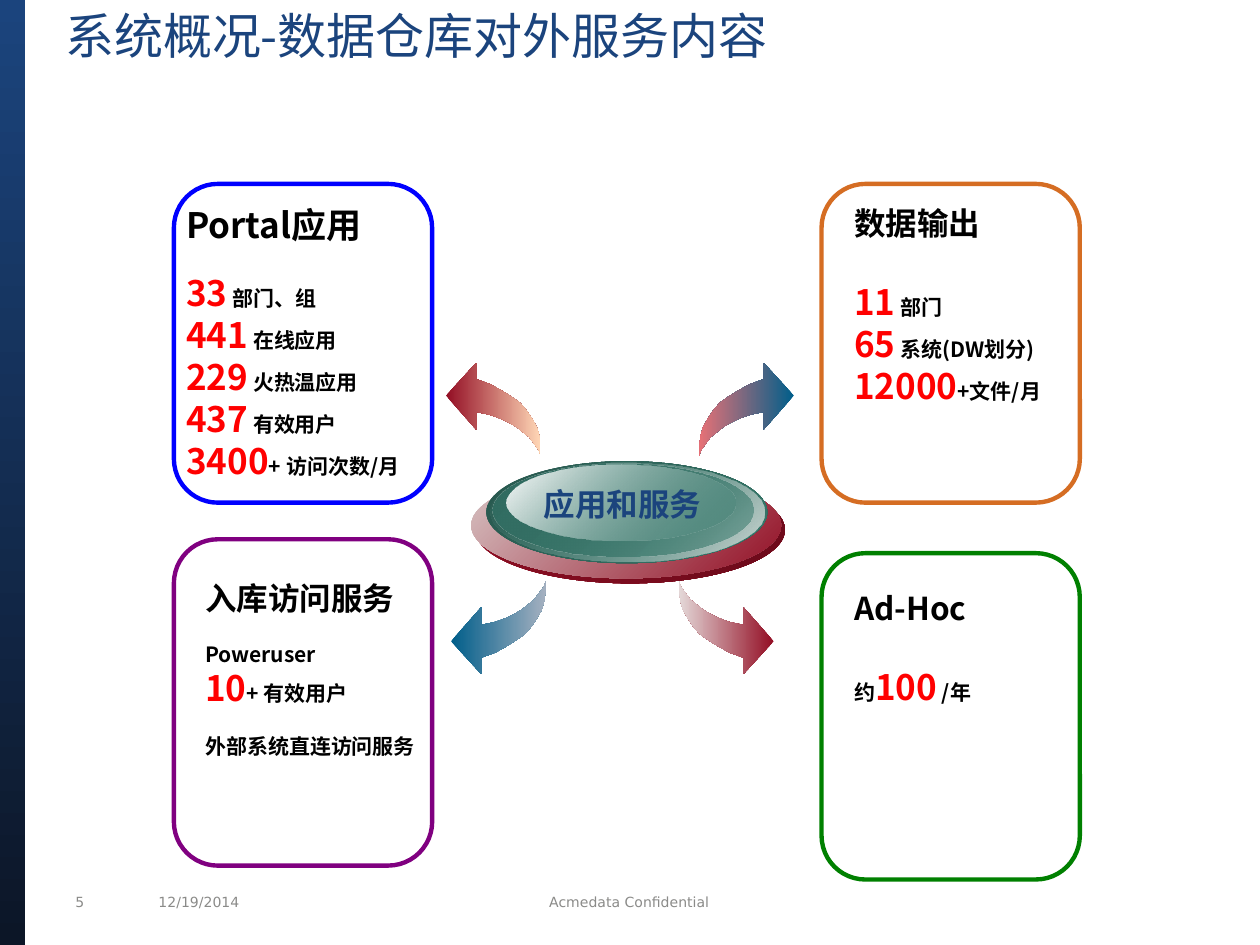
import pptx
import pptx.dml.color
import pptx.enum.shapes
import pptx.enum.text
import pptx.util
from lxml import etree
from pptx.util import Inches, Pt

RED, BLACK, NAVY, GREY = "FF0000", "000000", "1B447D", "8B8B89"
CJK_FONT = "Noto Sans CJK SC"
DRAWING_NS = "{http://schemas.openxmlformats.org/drawingml/2006/main}"
SHAPES = pptx.enum.shapes.MSO_SHAPE
ALIGN = pptx.enum.text.PP_ALIGN
rgb = pptx.dml.color.RGBColor.from_string

prs = pptx.Presentation()
prs.slide_width, prs.slide_height = Inches(10), Inches(7.5)
slide = prs.slides.add_slide(prs.slide_layouts[6])


def paint_gradient(shape, stops, angle):
    """Fill with two (colour, opacity percent) stops; angle is counter-clockwise."""
    shape.shadow.inherit = False
    shape.line.fill.background()
    shape.fill.gradient()
    shape.fill.gradient_angle = angle
    for stop, (colour, opacity) in zip(shape.fill.gradient_stops, stops):
        stop.color.rgb = rgb(colour)
    for node, (colour, opacity) in zip(shape.element.iter(DRAWING_NS + "srgbClr"), stops):
        if opacity < 100:
            etree.SubElement(node, DRAWING_NS + "alpha", val=str(opacity * 1000))


def add_text(box, lines, font=CJK_FONT, bold=False, align=ALIGN.LEFT):
    """Each line is (space before, line height or None, [(text, size, colour), ...])."""
    frame = slide.shapes.add_textbox(*[Inches(v) for v in box]).text_frame
    frame.word_wrap = True
    for number, (space, height, pieces) in enumerate(lines):
        paragraph = frame.paragraphs[0] if number == 0 else frame.add_paragraph()
        paragraph.alignment = align
        if space:
            paragraph.space_before = Pt(space)
        if height:
            paragraph.line_spacing = Pt(height)
        for text, size, colour in pieces:
            run = paragraph.add_run()
            run.text = text
            run.font.size, run.font.bold, run.font.name = Pt(size), bold, font
            run.font.color.rgb = rgb(colour)
            properties = run.font._element
            etree.SubElement(properties, DRAWING_NS + "ea", typeface=font)
    return frame


# Footer, side bar and title
footer = [
    (0.5, 0.5, "5", ALIGN.LEFT),
    (1.16, 1.67, "12/19/2014", ALIGN.LEFT),
    (2.91, 4.17, "Acmedata Confidential", ALIGN.CENTER),
]
for left, width, text, align in footer:
    note = add_text((left, 7.04, width, 0.24), [(0, None, [(text, 8, GREY)])],
                    font="DejaVu Sans", align=align)
    note.vertical_anchor = pptx.enum.text.MSO_ANCHOR.MIDDLE

side_bar = slide.shapes.add_shape(SHAPES.RECTANGLE, 0, 0, Inches(0.2), Inches(7.5))
paint_gradient(side_bar, [("0C1627", 100), (NAVY, 100)], 90)

title = add_text((0.42, 0, 6.63, 1.25),
                 [(0, 37, [("系统概况-数据仓库对外服务内容", 28, NAVY)])])
title.margin_top = title.margin_bottom = 0

# Central disc, from back to front
disc_layers = [
    (3.77, 3.78, 2.46, 0.85, ("930E24", 100), ("6B0A1A", 100)),
    (3.74, 3.75, 2.46, 0.84, ("D8C6C6", 100), ("930E24", 100)),
    (3.86, 3.66, 2.23, 0.81, ("27574D", 100), ("37796C", 100)),
    (3.89, 3.67, 2.18, 0.79, ("37796C", 0), ("D5DCDA", 100)),
    (3.91, 3.68, 2.07, 0.74, ("326D62", 100), ("37796C", 48)),
    (4.02, 3.69, 1.82, 0.6, ("FFFFFF", 100), ("37796C", 38)),
]
for *box, first, last in disc_layers:
    disc = slide.shapes.add_shape(SHAPES.OVAL, *[Inches(v) for v in box])
    paint_gradient(disc, [first, last], 315)

centre = add_text((4.21, 3.78, 1.46, 0.4), [(0, 23, [("应用和服务", 18, NAVY)])],
                  bold=True, align=ALIGN.CENTER)
centre.word_wrap = False

# Curved arrows: one outline measured from the tail, mirrored into each corner
arrow_outline = [
    (0, 0.08), (0.01, 0.16), (0.03, 0.23), (0.07, 0.3), (0.11, 0.36), (0.16, 0.42),
    (0.23, 0.47), (0.31, 0.52), (0.4, 0.57), (0.51, 0.61), (0.51, 0.74), (0.75, 0.48),
    (0.51, 0.21), (0.51, 0.35), (0.46, 0.34), (0.41, 0.33), (0.35, 0.31), (0.3, 0.29),
    (0.24, 0.26), (0.19, 0.23), (0.14, 0.19), (0.09, 0.15), (0.06, 0.11), (0.03, 0.07),
    (0.01, 0.04),
]
arrows = [
    (4.33, 4.61, -1, 1, "005E8A", "A4B0C0"),
    (5.39, 4.61, 1, 1, "930E24", "E4D8D8"),
    (5.55, 3.62, 1, -1, "005E8A", "E77176"),
    (4.29, 3.62, -1, -1, "930E24", "FFD7B6"),
]
for tail_x, tail_y, side, down, head_colour, tail_colour in arrows:
    builder = slide.shapes.build_freeform(Inches(tail_x), Inches(tail_y))
    builder.add_line_segments([(Inches(tail_x + side * dx), Inches(tail_y + down * dy))
                               for dx, dy in arrow_outline])
    arrow = builder.convert_to_shape()
    paint_gradient(arrow, [(head_colour, 100), (tail_colour, 100)], 0 if side < 0 else 180)

# Four service panels: frame, text box, heading, then lines
panels = [
    ((6.52, 1.46, 2.05, 2.53), "D56D23", (6.68, 1.55, 1.81, 1.89), [
        (0, 23, [("数据输出", 18, BLACK)]),
        (22, 24, [("11", 20, RED), (" 部门", 12, BLACK)]),
        (0, 24, [("65", 20, RED), (" 系统(DW划分)", 12, BLACK)]),
        (0, 24, [("12000", 20, RED), ("+文件/月", 12, BLACK)]),
    ]),
    ((1.38, 1.46, 2.05, 2.53), "0000FF", (1.38, 1.55, 2.16, 2.39), [
        (0, 25, [("Portal应用", 20, BLACK)]),
        (15, 24, [("33", 20, RED), (" 部门、组", 12, BLACK)]),
        (0, 24, [("441", 20, RED), (" 在线应用", 12, BLACK)]),
        (0, 24, [("229", 20, RED), (" 火热温应用", 12, BLACK)]),
        (0, 24, [("437", 20, RED), (" 有效用户", 12, BLACK)]),
        (0, 24, [("3400", 20, RED), ("+ 访问次数/月", 12, BLACK)]),
    ]),
    ((6.52, 4.39, 2.05, 2.59), "008000", (6.68, 4.61, 1.81, 1.58), [
        (0, 23, [("Ad-Hoc", 18, BLACK)]),
        (22, 24, [("约", 12, BLACK), ("100", 20, RED), (" /年", 12, BLACK)]),
    ]),
    ((1.38, 4.28, 2.05, 2.59), "800080", (1.53, 4.53, 2.01, 1.98), [
        (0, 23, [("入库访问服务", 18, BLACK)]),
        (14, 14.4, [("Poweruser", 12, BLACK)]),
        (0, 24, [("10", 20, RED), ("+ 有效用户", 12, BLACK)]),
        (14, 14.4, [("外部系统直连访问服务", 12, BLACK)]),
    ]),
]
for frame_box, border_colour, text_box, lines in panels:
    panel = slide.shapes.add_shape(SHAPES.ROUNDED_RECTANGLE, *[Inches(v) for v in frame_box])
    panel.shadow.inherit = False
    panel.adjustments[0] = 0.17
    panel.fill.background()
    panel.line.color.rgb = rgb(border_colour)
    panel.line.width = Pt(2.5)
    add_text(text_box, lines, bold=True)

prs.save("out.pptx")
